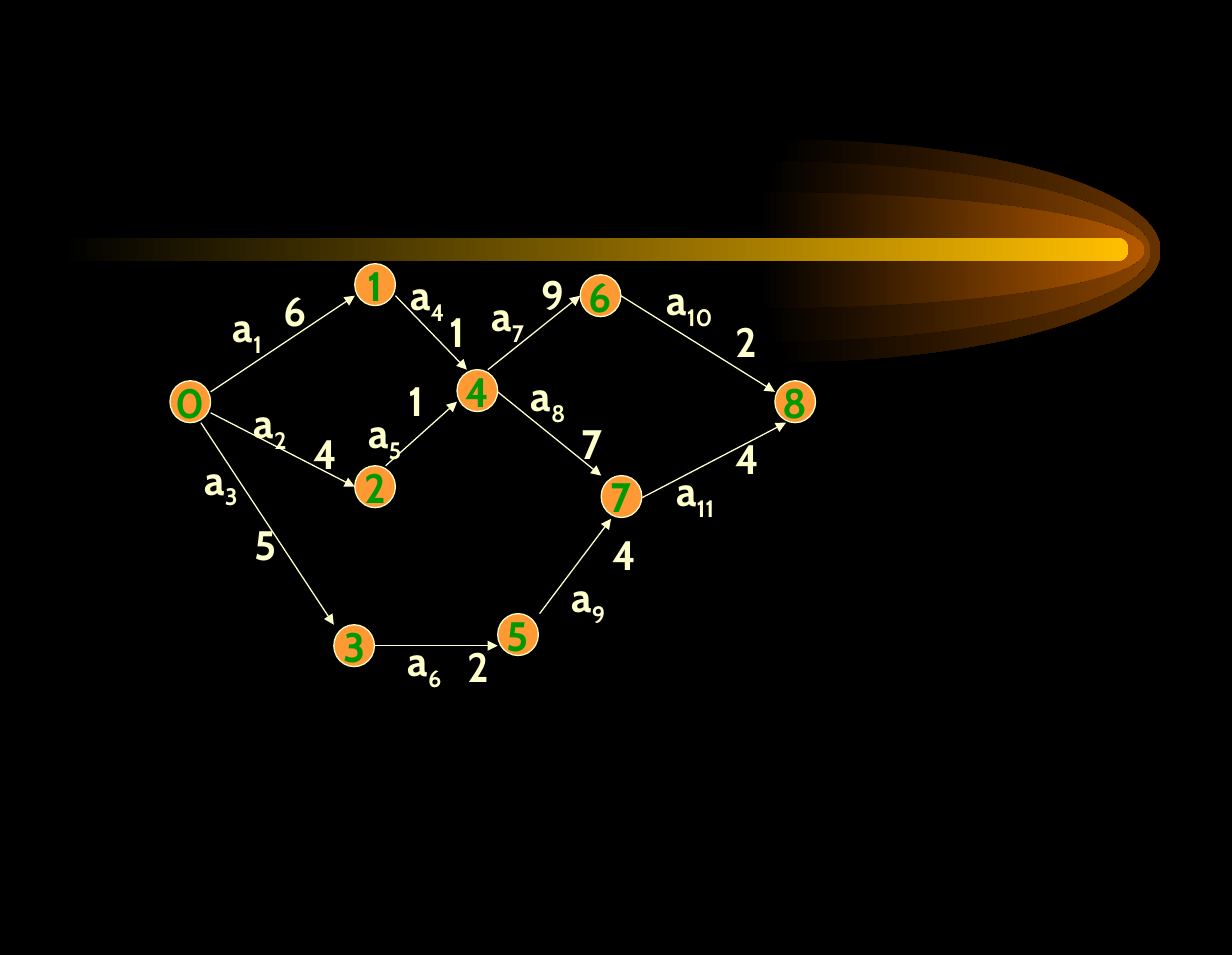
from lxml.etree import SubElement
from pptx import Presentation
from pptx.dml.color import RGBColor
from pptx.enum.shapes import MSO_CONNECTOR, MSO_SHAPE
from pptx.enum.text import MSO_ANCHOR, MSO_AUTO_SIZE, PP_ALIGN
from pptx.oxml.ns import qn
from pptx.util import Pt

PX = 9144  # 100 px to the inch
FONT = "Cabin"
BLACK, CREAM, ORANGE, GREEN = "000000", "FFFFCC", "FF9933", "009900"
NODE = (33, 34)
BEND = 0.55  # pull of a curve that follows a quarter ellipse

# left, top, width, height, colour
GLOWS = [
    (579, 0, 313, 181, "663300"),
    (571, 18, 313, 146, "894400"),
    (566, 43, 313, 94, "B75B00"),
]
BAR = (0, 80, 866, 19, "FFBF00")

# top left corner of each event, by number
EVENTS = [(0, 95), (150, 0), (150, 164), (133, 293), (233, 86),
          (266, 284), (333, 9), (350, 172), (491, 95)]

# weight, arrow start, arrow end, place of name, place of weight
TASKS = [
    (6, (33, 104), (150, 26), (41, 26), (82, 13)),
    (4, (33, 121), (150, 181), (58, 104), (107, 129)),
    (5, (25, 129), (133, 293), (18, 150), (59, 203)),
    (1, (183, 26), (241, 86), (185, 0), (217, 30)),
    (1, (175, 164), (233, 112), (151, 112), (184, 86)),
    (2, (166, 310), (266, 310), (183, 297), (232, 302)),
    (9, (258, 86), (333, 26), (251, 17), (292, 0)),
    (7, (266, 104), (350, 172), (283, 82), (324, 121)),
    (4, (300, 284), (358, 207), (316, 245), (349, 211)),
    (2, (366, 26), (491, 104), (393, 4), (449, 38)),
    (4, (383, 190), (500, 129), (401, 159), (449, 133)),
]


def emu(*sizes):
    return [round(size * PX) for size in sizes]


def tint(color, code):
    color.rgb = RGBColor.from_string(code)


def paint(shape, code):
    shape.fill.solid()
    tint(shape.fill.fore_color, code)


def fade(shape, code):
    """Fill from black at the left to the colour at the right, with no line."""
    shape.shadow.inherit = False
    shape.line.fill.background()
    shape.fill.gradient()
    shape.fill.gradient_angle = 0
    for stop, place, shade in zip(shape.fill.gradient_stops, (0, 1), (BLACK, code)):
        stop.position = place
        tint(stop.color, shade)


def write(par, text, code, base=None):
    run = par.add_run()
    run.text = text
    run.font.name = FONT
    run.font.size = Pt(24)
    run.font.bold = True
    tint(run.font.color, code)
    if base:
        run.font._element.set("baseline", str(base))


def curve(shape):
    """Turn each three straight steps of the outline into one Bezier curve."""
    steps = list(shape._element.iter(qn("a:lnTo")))
    for first, *rest in zip(steps[::3], steps[1::3], steps[2::3]):
        first.tag = qn("a:cubicBezTo")
        for step in rest:
            first.append(step[0])
            step.getparent().remove(step)


def add_glow(group, left, top, width, height, code):
    """Right half of an ellipse."""
    right, mid, foot = left + width, top + height / 2, top + height
    side, rise = left + BEND * width, BEND * height / 2
    points = [(side, top), (right, mid - rise), (right, mid),
              (right, mid + rise), (side, foot), (left, foot)]
    pen = group.shapes.build_freeform(*emu(left, top))
    pen.add_line_segments([emu(*point) for point in points], close=True)
    glow = pen.convert_to_shape()
    curve(glow)
    fade(glow, code)


def add_comet(slide, left, top):
    group = slide.shapes.add_group_shape()
    for x, y, *rest in GLOWS:
        add_glow(group, left + x, top + y, *rest)
    x, y, width, height, code = BAR
    bar = group.shapes.add_shape(
        MSO_SHAPE.ROUNDED_RECTANGLE, *emu(left + x, top + y, width, height))
    bar.adjustments[0] = 0.5
    fade(bar, code)


def add_event(group, left, top, text):
    node = group.shapes.add_shape(MSO_SHAPE.OVAL, *emu(left, top, *NODE))
    node.shadow.inherit = False
    paint(node, ORANGE)
    tint(node.line.color, CREAM)
    node.line.width = Pt(0.75)
    frame = node.text_frame
    frame.word_wrap = False
    frame.vertical_anchor = MSO_ANCHOR.MIDDLE
    par = frame.paragraphs[0]
    par.alignment = PP_ALIGN.CENTER
    write(par, text, GREEN)


def add_arrow(group, start, end):
    line = group.shapes.add_connector(MSO_CONNECTOR.STRAIGHT, *emu(*start, *end))
    tint(line.line.color, CREAM)
    line.line.width = Pt(0.75)
    SubElement(line.line._get_or_add_ln(), qn("a:tailEnd"), type="triangle")
    SubElement(line._element.spPr, qn("a:effectLst"))


def add_label(group, left, top, text, sub=""):
    width = 40 + 11 * len(sub) if sub else 39
    height = 56 if sub else 50
    box = group.shapes.add_textbox(*emu(left, top, width, height))
    frame = box.text_frame
    frame.word_wrap = False
    frame.auto_size = MSO_AUTO_SIZE.SHAPE_TO_FIT_TEXT
    par = frame.paragraphs[0]
    write(par, text, CREAM)
    if sub:
        write(par, sub, CREAM, -25000)


def add_graph(slide, left, top):
    """Events, then the arrows of the tasks with their names and weights."""
    def place(spot):
        return left + spot[0], top + spot[1]

    group = slide.shapes.add_group_shape()
    for number, spot in enumerate(EVENTS):
        add_event(group, *place(spot), str(number))
    for _, start, end, _, _ in TASKS:
        add_arrow(group, place(start), place(end))
    for number, (weight, _, _, name, value) in enumerate(TASKS, 1):
        add_label(group, *place(name), "a", str(number))
        add_label(group, *place(value), str(weight))


def main():
    deck = Presentation()
    deck.slide_width, deck.slide_height = emu(1000, 775)
    slide = deck.slides.add_slide(deck.slide_layouts[6])
    paint(slide.background, BLACK)
    add_comet(slide, 50, 113)
    add_graph(slide, 138, 214)
    deck.save("out.pptx")


if __name__ == "__main__":
    main()
